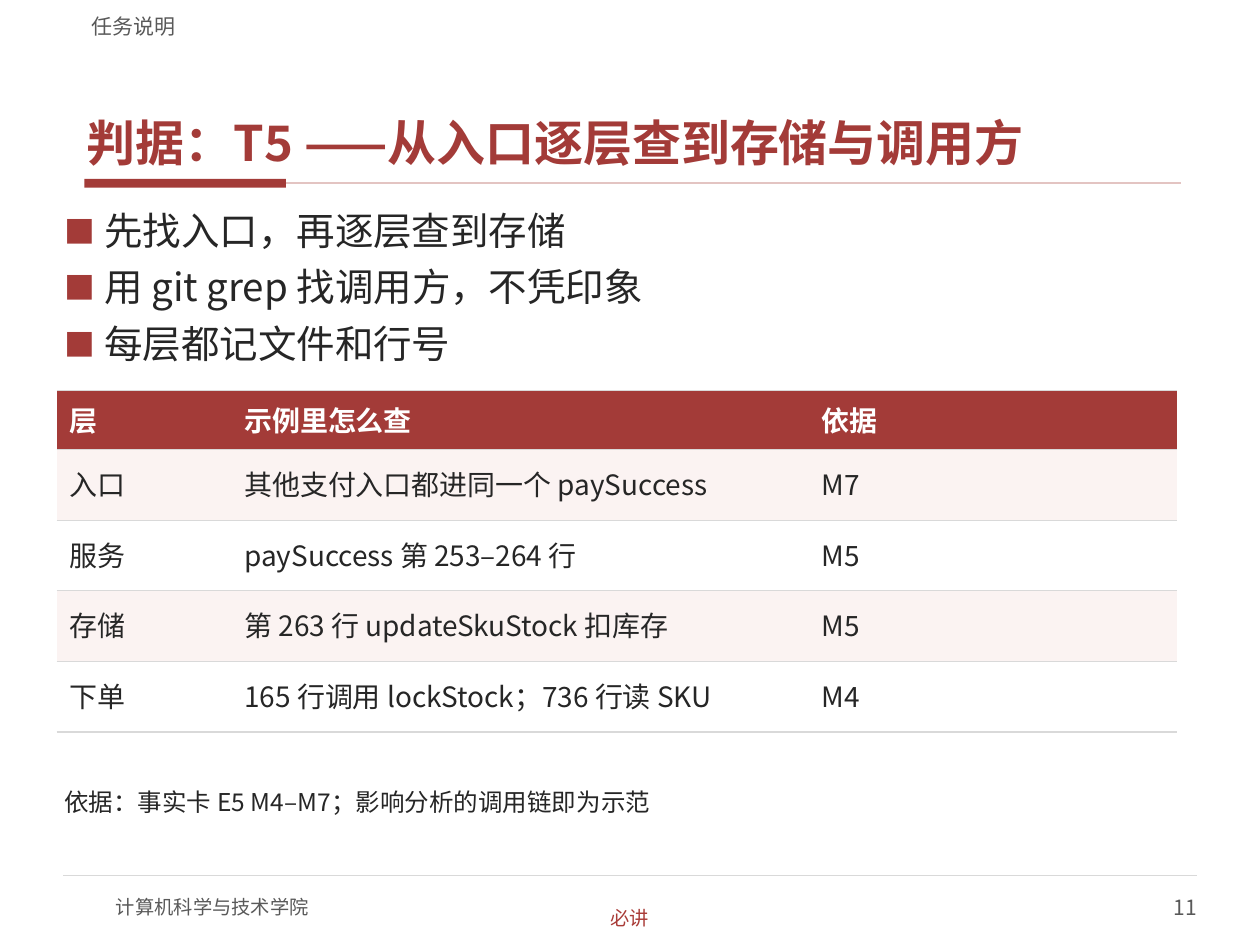
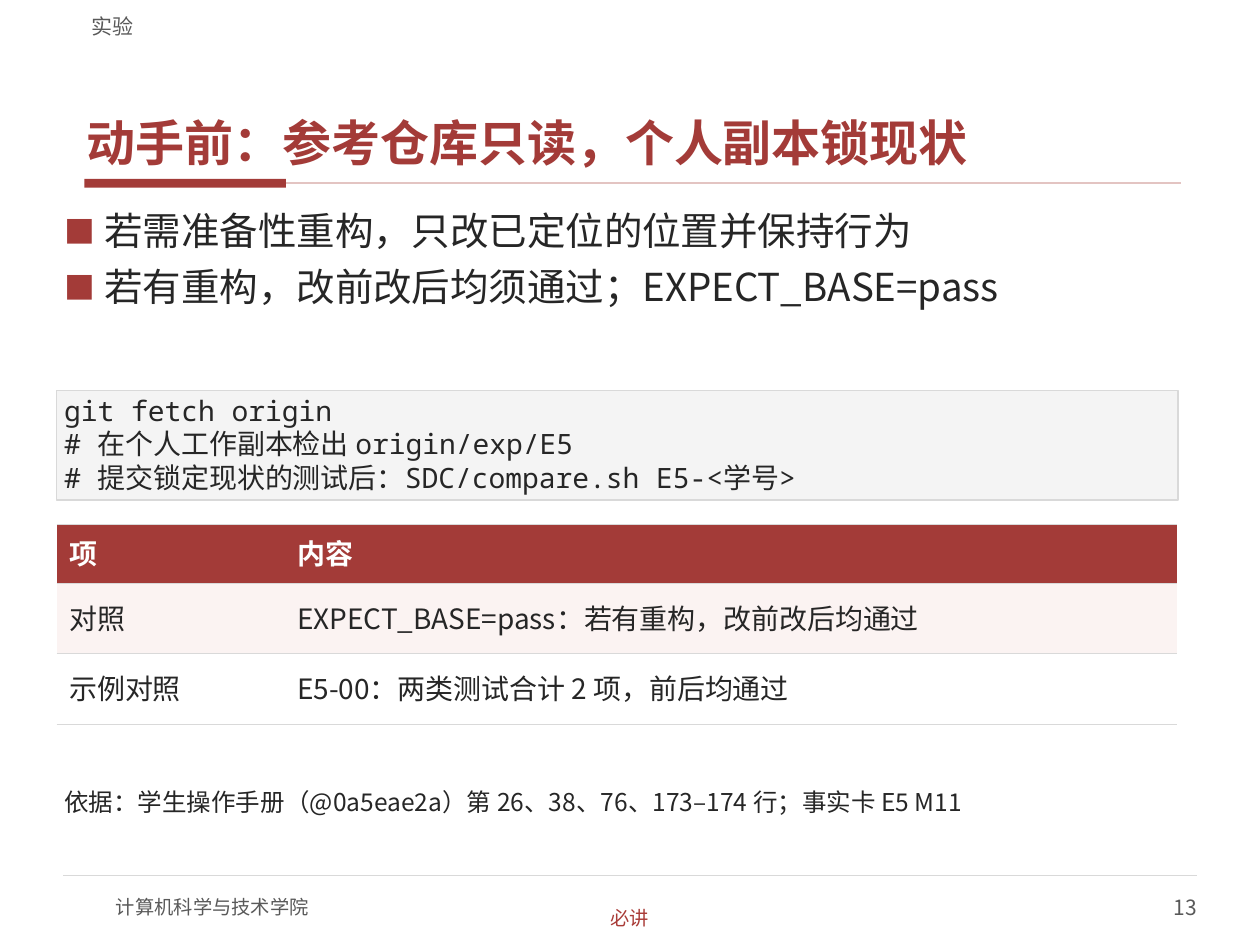
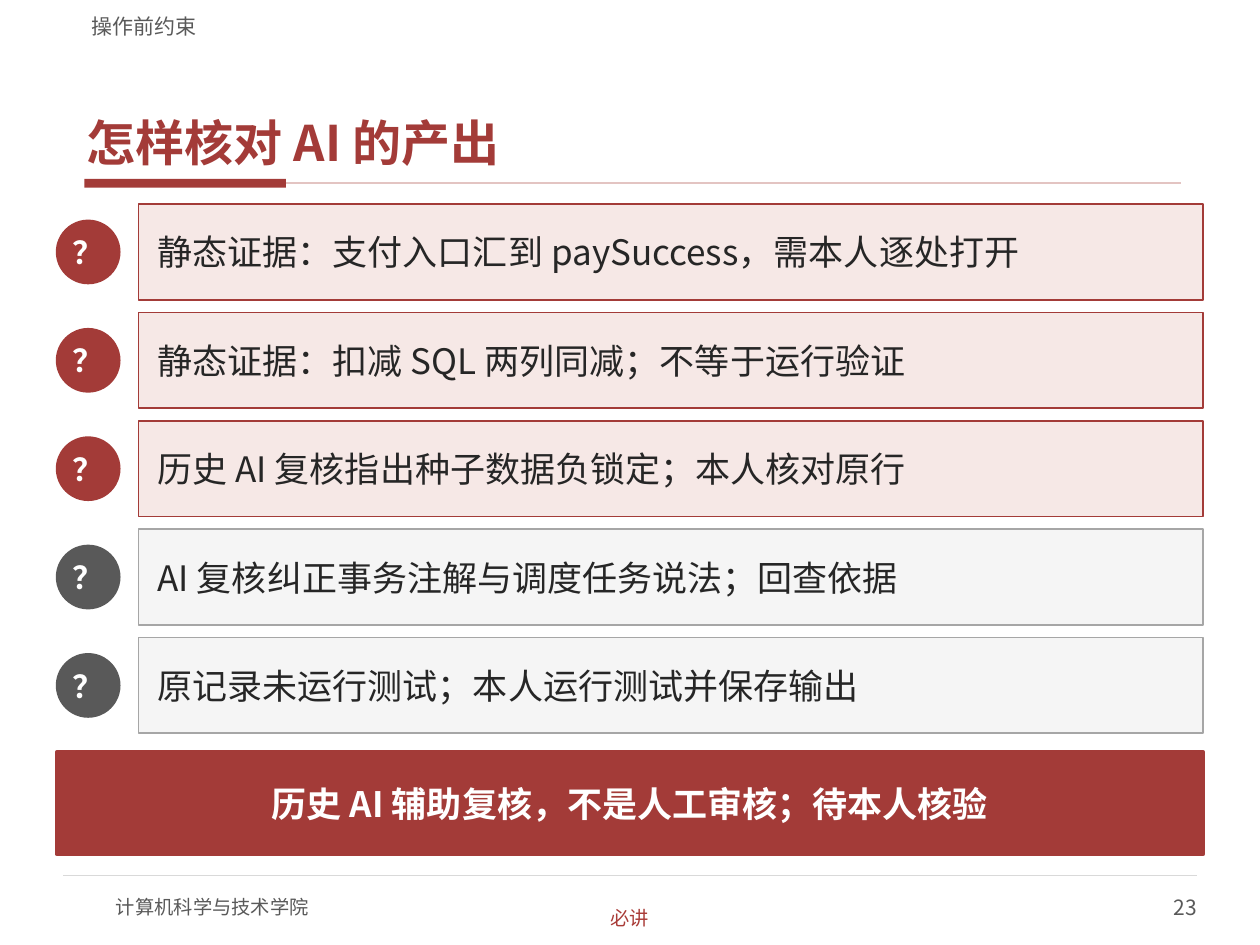
from dataclasses import dataclass

from lxml.etree import SubElement
from pptx import Presentation
from pptx.dml.color import RGBColor
from pptx.enum.shapes import MSO_CONNECTOR as Connector, MSO_SHAPE as Shape
from pptx.enum.text import MSO_ANCHOR as Anchor, PP_ALIGN as Align
from pptx.oxml import parse_xml
from pptx.oxml.ns import nsdecls, qn
from pptx.util import Inches, Pt


@dataclass(frozen=True)
class Theme:
    font: str = "Noto Sans CJK SC"
    mono: str = "Noto Sans Mono"
    red: str = "A33B38"
    badge_red: str = "A93B37"
    pale_rule: str = "E3C4C2"
    pink: str = "F6E8E6"
    row_tint: str = "FBF3F2"
    white: str = "FFFFFF"
    ink: str = "262626"
    gray: str = "595959"
    mid_gray: str = "A6A6A6"
    rule: str = "D9D9D9"
    code_fill: str = "F4F4F4"
    gray_fill: str = "F5F5F5"
    title_size: int = 28
    bullet_size: int = 22
    claim_size: int = 20
    mark_size: int = 18
    table_size: int = 16
    note_size: int = 14
    label_size: int = 12
    footer_size: int = 11


THEME = Theme()
LEFT = 0.45
FULL_WIDTH = 9.1
TABLE_TOP = 3.1
TIGHT = (0.06, 0.02)
NO_INSET = (0, 0)
HEADER_HEIGHT = 0.47
ROW_HEIGHT = 0.56
CLAIM_TOP = 1.62
CLAIM_HEIGHT = 0.76
CLAIM_STEP = 0.86
MARK_SIZE = 0.5


def rgb(color):
    return RGBColor.from_string(color)


def add_run(paragraph, text, size, color, bold=False, font=THEME.font):
    run = paragraph.add_run()
    run.text = text
    run.font.size = Pt(size)
    run.font.bold = bold
    run.font.color.rgb = rgb(color)
    run.font.name = font
    SubElement(run.font._element, qn("a:ea"), typeface=THEME.font)


def fill_text(frame, lines, size, color, bold=False, font=THEME.font,
              align=Align.LEFT, anchor=Anchor.TOP, insets=NO_INSET,
              before=0, after=0, bullets=False, wrap=True):
    frame.word_wrap = wrap
    frame.vertical_anchor = anchor
    frame.margin_left = frame.margin_right = Inches(insets[0])
    frame.margin_top = frame.margin_bottom = Inches(insets[1])
    for index, line in enumerate(lines):
        paragraph = frame.add_paragraph() if index else frame.paragraphs[0]
        paragraph.alignment = align
        paragraph.space_before = Pt(before if index else 0)
        paragraph.space_after = Pt(after)
        if bullets:
            add_bullet(paragraph)
        add_run(paragraph, line, size, color, bold, font)


def add_bullet(paragraph):
    properties = paragraph._p.get_or_add_pPr()
    properties.set("marL", str(Inches(0.32)))
    properties.set("indent", str(-Inches(0.32)))
    color = SubElement(properties, qn("a:buClr"))
    SubElement(color, qn("a:srgbClr"), val=THEME.red)
    SubElement(properties, qn("a:buSzPct"), val="80000")
    SubElement(properties, qn("a:buFont"), typeface=THEME.font)
    SubElement(properties, qn("a:buChar"), char="■")


def add_text(slide, box, lines, size, color, **style):
    label = slide.shapes.add_textbox(*map(Inches, box))
    fill_text(label.text_frame, lines, size, color, **style)


def add_block(slide, box, fill, outline=None, width=1, kind=Shape.RECTANGLE):
    block = slide.shapes.add_shape(kind, *map(Inches, box))
    block.shadow.inherit = False
    block.fill.solid()
    block.fill.fore_color.rgb = rgb(fill)
    if outline:
        block.line.color.rgb = rgb(outline)
        block.line.width = Pt(width)
    else:
        block.line.fill.background()
    return block


def add_rule(slide, start, end, y, color, width):
    rule = slide.shapes.add_connector(Connector.STRAIGHT, start, y, end, y)
    rule.line.color.rgb = rgb(color)
    rule.line.width = Pt(width)
    SubElement(rule._element.spPr, qn("a:effectLst"))
    return rule


def add_frame(slide, section, title, page):
    accent = add_block(slide, (0.67, 1.42, 1.6, 0.07), THEME.red)
    title_rule = add_rule(slide, accent.left + accent.width, Inches(9.37),
                          accent.top + accent.height // 2, THEME.pale_rule, 1)
    title_rule.begin_connect(accent, 3)
    add_rule(slide, Inches(0.5), Inches(9.5), Inches(6.95), THEME.rule, 0.75)
    add_text(slide, (0.92, 7, 4, 0.4), ["计算机科学与技术学院"],
             THEME.footer_size, THEME.gray, anchor=Anchor.MIDDLE)
    add_text(slide, (7.5, 7, 2, 0.4), [str(page)], THEME.label_size, THEME.gray,
             align=Align.RIGHT, anchor=Anchor.MIDDLE)
    add_text(slide, (0.63, 0.33, 8.75, 1.05), [title], THEME.title_size, THEME.red,
             bold=True, anchor=Anchor.BOTTOM, insets=TIGHT, after=2)
    add_text(slide, (0.63, 0.04, 8.75, 0.27), [section], THEME.label_size,
             THEME.gray, anchor=Anchor.BOTTOM, insets=(0.1, 0))
    add_text(slide, (4.4, 7.18, 1.2, 0.21), ["必讲"], THEME.footer_size,
             THEME.badge_red, align=Align.CENTER, anchor=Anchor.MIDDLE, wrap=False)


def add_bullets(slide, points):
    add_text(slide, (LEFT, 1.62, FULL_WIDTH, 1.37), points, THEME.bullet_size,
             THEME.ink, insets=TIGHT, before=4, after=2, bullets=True)


def add_source_note(slide, note):
    add_text(slide, (LEFT, 6.23, FULL_WIDTH, 0.5), [note], THEME.note_size,
             THEME.ink, insets=TIGHT, after=2)


def add_code(slide, lines):
    code = add_block(slide, (LEFT, TABLE_TOP, 8.9, 0.87), THEME.code_fill,
                     THEME.rule, 0.75)
    fill_text(code.text_frame, lines, THEME.table_size, THEME.ink,
              font=THEME.mono, insets=TIGHT)


def set_borders(cell):
    solid = f'<a:solidFill><a:srgbClr val="{THEME.rule}"/></a:solidFill>'
    sides = {"L": "<a:noFill/>", "R": "<a:noFill/>", "T": solid, "B": solid}
    properties = cell._tc.get_or_add_tcPr()
    for index, (side, paint) in enumerate(sides.items()):
        properties.insert(index, parse_xml(
            f'<a:ln{side} {nsdecls("a")} w="{Pt(0.75)}">{paint}</a:ln{side}>'))


def add_grid(slide, top, widths, rows):
    heights = [HEADER_HEIGHT] + [ROW_HEIGHT] * (len(rows) - 1)
    box = (LEFT, top, sum(widths), sum(heights))
    table = slide.shapes.add_table(len(rows), len(widths), *map(Inches, box)).table
    table.horz_banding = False
    for column, width in zip(table.columns, widths):
        column.width = Inches(width)
    for index, (row, height, values) in enumerate(zip(table.rows, heights, rows)):
        row.height = Inches(height)
        header = index == 0
        tint = THEME.red if header else THEME.row_tint if index % 2 else THEME.white
        for cell, value in zip(row.cells, values):
            cell.fill.solid()
            cell.fill.fore_color.rgb = rgb(tint)
            set_borders(cell)
            cell.vertical_anchor = Anchor.MIDDLE
            paragraph = cell.text_frame.paragraphs[0]
            paragraph.line_spacing = 0.9
            paragraph.space_after = Pt(2)
            add_run(paragraph, value, THEME.table_size,
                    THEME.white if header else THEME.ink, header)


def add_claim(slide, index, claim, mark_color, fill, outline):
    top = CLAIM_TOP + index * CLAIM_STEP
    mark_top = top + (CLAIM_HEIGHT - MARK_SIZE) / 2
    mark = add_block(slide, (LEFT, mark_top, MARK_SIZE, MARK_SIZE),
                     mark_color, mark_color, kind=Shape.OVAL)
    fill_text(mark.text_frame, ["？"], THEME.mark_size, THEME.white, bold=True,
              align=Align.CENTER, anchor=Anchor.MIDDLE)
    card = add_block(slide, (1.1, top, 8.45, CLAIM_HEIGHT), fill, outline)
    fill_text(card.text_frame, [claim], THEME.claim_size, THEME.ink,
              anchor=Anchor.MIDDLE, insets=(0.15, 0.07))


def add_conclusion(slide, conclusion):
    banner = add_block(slide, (LEFT, 5.97, FULL_WIDTH, 0.81), THEME.red,
                       THEME.red, 2.25)
    fill_text(banner.text_frame, [conclusion], THEME.claim_size, THEME.white,
              bold=True, align=Align.CENTER, anchor=Anchor.MIDDLE,
              insets=(0.08, 0.04))


def build_criteria(slide):
    add_frame(slide, "任务说明", "判据：T5 ——从入口逐层查到存储与调用方", 11)
    add_bullets(slide, [
        "先找入口，再逐层查到存储",
        "用 git grep 找调用方，不凭印象",
        "每层都记文件和行号",
    ])
    add_grid(slide, TABLE_TOP, [1.39, 4.58, 2.92], [
        ("层", "示例里怎么查", "依据"),
        ("入口", "其他支付入口都进同一个 paySuccess", "M7"),
        ("服务", "paySuccess 第 253–264 行", "M5"),
        ("存储", "第 263 行 updateSkuStock 扣库存", "M5"),
        ("下单", "165 行调用 lockStock；736 行读 SKU", "M4"),
    ])
    add_source_note(slide, "依据：事实卡 E5 M4–M7；影响分析的调用链即为示范")


def build_preparation(slide):
    add_frame(slide, "实验", "动手前：参考仓库只读，个人副本锁现状", 13)
    add_bullets(slide, [
        "若需准备性重构，只改已定位的位置并保持行为",
        "若有重构，改前改后均须通过；EXPECT_BASE=pass",
    ])
    add_code(slide, [
        "git fetch origin",
        "# 在个人工作副本检出 origin/exp/E5",
        "# 提交锁定现状的测试后：SDC/compare.sh E5-<学号>",
    ])
    add_grid(slide, 4.16, [1.81, 7.08], [
        ("项", "内容"),
        ("对照", "EXPECT_BASE=pass：若有重构，改前改后均通过"),
        ("示例对照", "E5-00：两类测试合计 2 项，前后均通过"),
    ])
    add_source_note(
        slide, "依据：学生操作手册（@0a5eae2a）第 26、38、76、173–174 行；事实卡 E5 M11")


def build_review(slide):
    add_frame(slide, "操作前约束", "怎样核对 AI 的产出", 23)
    evidence = (THEME.red, THEME.pink, THEME.red)
    follow_up = (THEME.gray, THEME.gray_fill, THEME.mid_gray)
    claims = [
        ("静态证据：支付入口汇到 paySuccess，需本人逐处打开", evidence),
        ("静态证据：扣减 SQL 两列同减；不等于运行验证", evidence),
        ("历史 AI 复核指出种子数据负锁定；本人核对原行", evidence),
        ("AI 复核纠正事务注解与调度任务说法；回查依据", follow_up),
        ("原记录未运行测试；本人运行测试并保存输出", follow_up),
    ]
    for index, (claim, colors) in enumerate(claims):
        add_claim(slide, index, claim, *colors)
    add_conclusion(slide, "历史 AI 辅助复核，不是人工审核；待本人核验")


def main():
    deck = Presentation()
    deck.slide_width = Inches(10)
    deck.slide_height = Inches(7.5)
    blank = deck.slide_layouts[6]
    for build in (build_criteria, build_preparation, build_review):
        build(deck.slides.add_slide(blank))
    deck.save("out.pptx")


if __name__ == "__main__":
    main()
